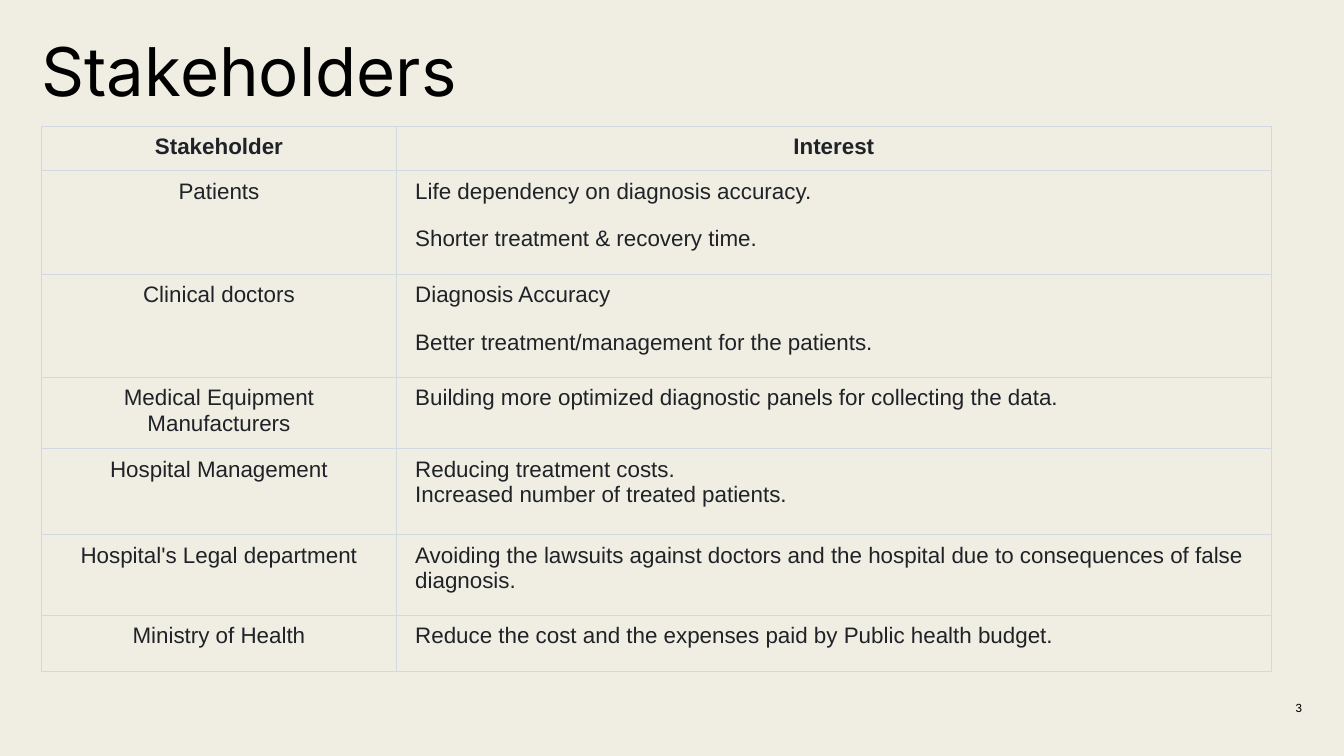
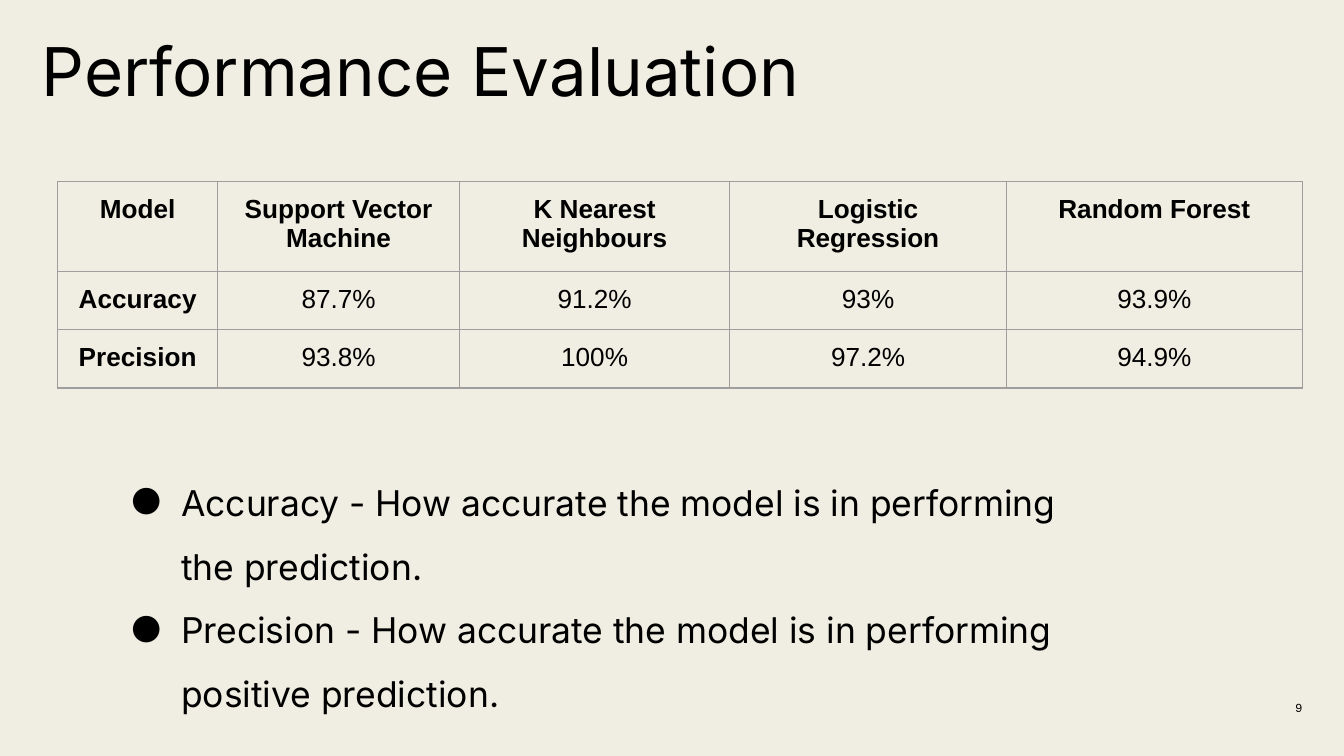
from lxml.etree import SubElement as Sub
from pptx import Presentation
from pptx.dml.color import RGBColor
from pptx.enum.text import MSO_ANCHOR as Anchor, MSO_AUTO_SIZE as Auto, PP_ALIGN as Align
from pptx.oxml import parse_xml
from pptx.oxml.ns import nsdecls, qn
from pptx.util import Inches, Pt

PAPER, INK, SLATE = "F0EEE2", "000000", "1F2328"
FROST, GREY = "D1D9E0", "9E9E9E"
HEAD, BODY = "Inter", "Arial"


def color(code):
    """Turn a hex string into a colour."""
    return RGBColor.from_string(code)


class Deck:
    """Holds the shared style and the current slide."""

    def __init__(self):
        """Open an empty widescreen deck."""
        self.file = Presentation()
        self.file.slide_width = Inches(10)
        self.file.slide_height = Inches(10) * 9 // 16
        self.slide = None

    def start(self, title, number, width):
        """Add a slide with its background, number and title."""
        self.slide = self.file.slides.add_slide(self.file.slide_layouts[6])
        fill = self.slide.background.fill
        fill.solid()
        fill.fore_color.rgb = color(PAPER)
        page = self.box(9.09, 5.23, 0.6, 0.08)
        page.vertical_anchor = Anchor.MIDDLE
        para = page.paragraphs[0]
        para.alignment = Align.RIGHT
        self.run(para, number, 6)
        head = self.box(0.31, 0.31, width, 0.52)
        head.auto_size = Auto.SHAPE_TO_FIT_TEXT
        para = head.paragraphs[0]
        para.line_spacing = 0.85
        self.run(para, title, 36)

    def box(self, left, top, width, height, pad=0):
        """Add an empty text box and return its frame."""
        frame = self.slide.shapes.add_textbox(
            Inches(left), Inches(top), Inches(width), Inches(height)).text_frame
        frame.word_wrap = True
        frame.margin_left = frame.margin_right = Inches(pad)
        frame.margin_top = frame.margin_bottom = Inches(pad)
        return frame

    def run(self, para, text, size, font=HEAD, ink=INK, bold=False):
        """Add one styled run to a paragraph."""
        run = para.add_run()
        run.text = text
        run.font.size = Pt(size)
        run.font.name = font
        run.font.bold = bold
        run.font.color.rgb = color(ink)

    def paras(self, frame, count):
        """Return the first paragraph and as many new ones as needed."""
        return [frame.paragraphs[0]] + [frame.add_paragraph() for _ in range(count - 1)]

    def bullets(self, left, top, width, height, lines):
        """Add a bulleted list."""
        frame = self.box(left, top, width, height, 0.1)
        frame.auto_size = Auto.SHAPE_TO_FIT_TEXT
        for para, line in zip(self.paras(frame, len(lines)), lines):
            para.line_spacing = 1.5
            self.run(para, line, 19)
            props = para._p.get_or_add_pPr()
            props.set("marL", str(Inches(0.5)))
            props.set("indent", str(Inches(-0.38)))
            Sub(Sub(props, qn("a:buClr")), qn("a:srgbClr"), val=INK)
            Sub(props, qn("a:buFont"), typeface=HEAD)
            Sub(props, qn("a:buChar"), char="●")

    def grid(self, left, top, cols, rows):
        """Add a table with the given column widths and row heights."""
        table = self.slide.shapes.add_table(
            len(rows), len(cols), Inches(left), Inches(top),
            Inches(sum(cols)), Inches(sum(rows))).table
        table.horz_banding = False
        for col, width in zip(table.columns, cols):
            col.width = Inches(width)
        for row, height in zip(table.rows, rows):
            row.height = Inches(height)
        return table

    def cell(self, cell, lines, size, ink, edge, pad, bold=False, center=True):
        """Fill a cell with text and give it padding and borders."""
        cell.fill.background()
        cell.margin_left = cell.margin_right = Inches(pad[0])
        cell.margin_top = cell.margin_bottom = Inches(pad[1])
        for para, line in zip(self.paras(cell.text_frame, len(lines)), lines):
            para.alignment = Align.CENTER if center else Align.LEFT
            self.run(para, line, size, BODY, ink, bold)
        props = cell._tc.get_or_add_tcPr()
        for spot, side in enumerate("LRTB"):
            props.insert(spot, parse_xml(
                f'<a:ln{side} {nsdecls("a")} w="{Pt(0.75)}"><a:solidFill>'
                f'<a:srgbClr val="{edge}"/></a:solidFill></a:ln{side}>'))


def parties(deck):
    """Build the slide on stakeholders."""
    deck.start("Stakeholders", "3", 7.03)
    rows = [
        (0.33, "Stakeholder", ["Interest"], 12),
        (0.77, "Patients", ["Life dependency on diagnosis accuracy.",
                            "Shorter treatment & recovery time."], 12),
        (0.77, "Clinical doctors", ["Diagnosis Accuracy",
                                    "Better treatment/management for the patients."], 12),
        (0.53, "Medical Equipment Manufacturers",
         ["Building more optimized diagnostic panels for collecting the data."], 12),
        (0.64, "Hospital Management", ["Reducing treatment costs.",
                                       "Increased number of treated patients."], 0),
        (0.6, "Hospital's Legal department",
         ["Avoiding the lawsuits against doctors and the hospital due to "
          "consequences of false diagnosis."], 0),
        (0.42, "Ministry of Health",
         ["Reduce the cost and the expenses paid by Public health budget."], 12),
    ]
    table = deck.grid(0.31, 0.94, [2.64, 6.51], [row[0] for row in rows])
    for r, (_, name, lines, gap) in enumerate(rows):
        for c, text in enumerate([[name], lines]):
            cell = table.cell(r, c)
            deck.cell(cell, text, 12, SLATE, FROST, (0.14, 0.06),
                      bold=r == 0, center=r == 0 or c == 0)
            paras = cell.text_frame.paragraphs
            paras[-1].space_after = Pt(12 if c == 0 else gap)
            for para in paras[1:]:
                para.space_before = Pt(gap)


def scores(deck):
    """Build the slide on model performance."""
    deck.start("Performance Evaluation", "9", 6.28)
    rows = [
        ["Model", "Support Vector Machine", "K Nearest Neighbours",
         "Logistic Regression", "Random Forest"],
        ["Accuracy", "87.7%", "91.2%", "93%", "93.9%"],
        ["Precision", "93.8%", "100%", "97.2%", "94.9%"],
    ]
    table = deck.grid(0.43, 1.35, [1.19, 1.8, 2.01, 2.06, 2.2], [0.67, 0.43, 0.43])
    for r, row in enumerate(rows):
        for c, text in enumerate(row):
            deck.cell(table.cell(r, c), [text], 14, INK, GREY, (0.1, 0.1),
                      bold=r == 0 or c == 0)
    deck.bullets(0.75, 3.32, 7.38, 1.96, [
        "Accuracy - How accurate the model is in performing the prediction.",
        "Precision - How accurate the model is in performing positive prediction.",
    ])


def main():
    """Build both slides and save the deck."""
    deck = Deck()
    parties(deck)
    scores(deck)
    deck.file.save("out.pptx")


if __name__ == "__main__":
    main()
